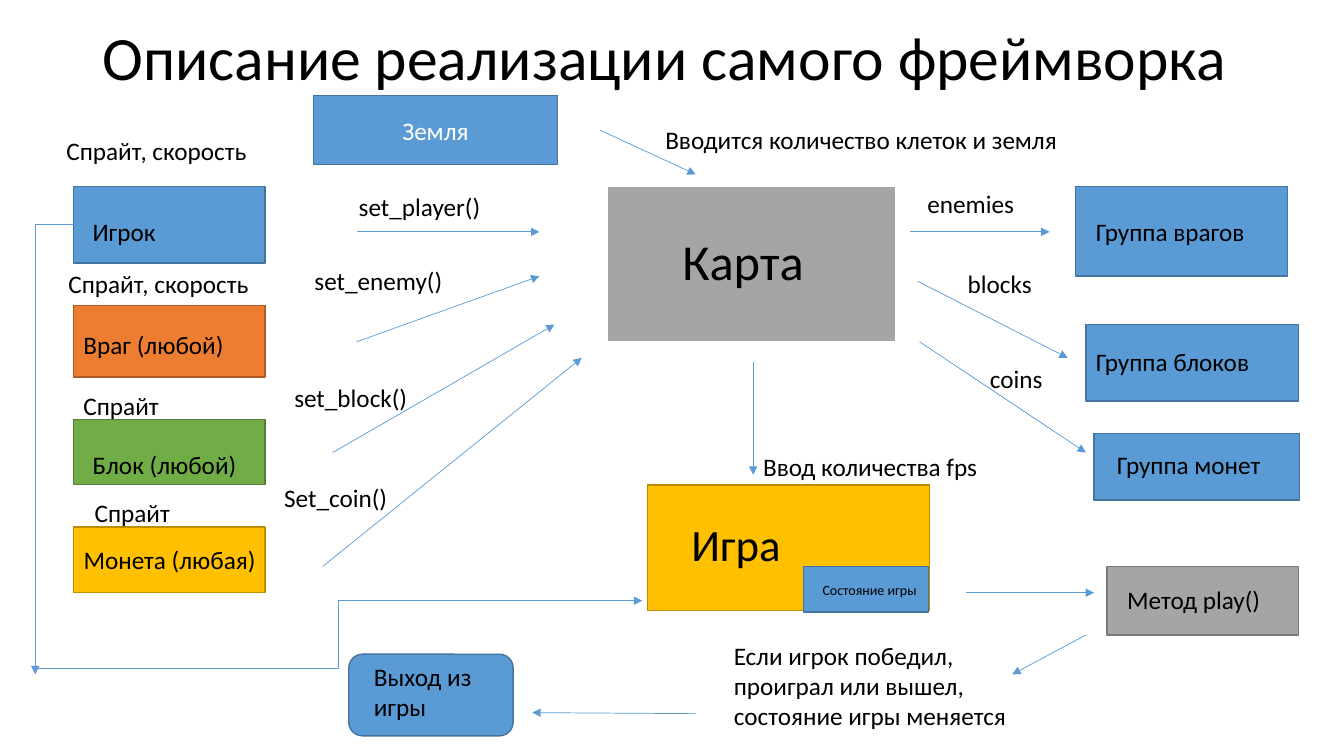
from dataclasses import dataclass

from lxml import etree
from pptx import Presentation
from pptx import util as u
from pptx.dml.color import RGBColor
from pptx.enum import shapes, text
from pptx.oxml.ns import qn

PX = 9144  # EMU per px, 100 px to the inch
SLIDE_SIZE = (1333, 750)


@dataclass(frozen=True)
class Theme:
    font: str = "Calibri"
    ink: str = "000000"
    paper: str = "FFFFFF"
    arrow: str = "5B9BD5"
    # fill, outline
    blue: tuple = ("5B9BD5", "43739E")
    orange: tuple = ("ED7D31", "AF5C24")
    green: tuple = ("70AD47", "538035")
    gold: tuple = ("FFC000", "BD8E00")
    grey: tuple = ("A5A5A5", "7A7A7A")
    map_grey: tuple = ("A5A5A5", "FFFFFF")
    title: int = 44
    map: int = 36
    game: int = 32
    body: int = 18
    small: int = 10
    outline: float = 1
    map_outline: float = 1.5
    arrow_width: float = 0.5


THEME = Theme()
RECT = shapes.MSO_SHAPE.RECTANGLE
ROUNDED = shapes.MSO_SHAPE.ROUNDED_RECTANGLE
STRAIGHT = shapes.MSO_CONNECTOR.STRAIGHT
ELBOW = shapes.MSO_CONNECTOR.ELBOW

TITLE = ("Описание реализации самого фреймворка", (92, -12, 1150, 145))
GROUND = ("Земля", (311, 95, 242, 68))

# place (left, top, width, height), colours
BOXES = [
    ((73, 185, 190, 76), THEME.blue),
    ((73, 303, 190, 71), THEME.orange),
    ((73, 416, 190, 65), THEME.green),
    ((73, 523, 190, 65), THEME.gold),
    ((1067, 185, 210, 89), THEME.blue),
    ((1077, 322, 211, 76), THEME.blue),
    ((1085, 430, 204, 66), THEME.blue),
    ((642, 481, 280, 125), THEME.gold),
    ((797, 562, 124, 45), THEME.blue),
    ((1098, 562, 190, 68), THEME.grey),
]
MAP_BOX = (602, 185, 287, 154)
EXIT_BOX = (346, 649, 163, 81)

# text, place, size
LABELS = [
    ("Игрок", (82, 210, 220, 40), THEME.body),
    ("Враг (любой)", (73, 322, 166, 40), THEME.body),
    ("Блок (любой)", (82, 441, 182, 40), THEME.body),
    ("Монета (любая)", (73, 535, 212, 40), THEME.body),
    ("Спрайт, скорость", (56, 129, 208, 40), THEME.body),
    ("Спрайт, скорость", (58, 261, 203, 40), THEME.body),
    ("Спрайт", (73, 382, 144, 40), THEME.body),
    ("Спрайт", (84, 488, 115, 40), THEME.body),
    ("set_player()", (346, 185, 144, 40), THEME.body),
    ("set_enemy()", (302, 258, 152, 40), THEME.body),
    ("set_block()", (282, 374, 139, 40), THEME.body),
    ("Set_coin()", (272, 474, 144, 40), THEME.body),
    ("Вводится количество клеток и земля", (650, 118, 435, 40), THEME.body),
    ("Карта", (667, 223, 160, 71), THEME.map),
    ("enemies", (910, 182, 123, 40), THEME.body),
    ("blocks", (950, 261, 110, 40), THEME.body),
    ("coins", (972, 356, 76, 40), THEME.body),
    ("Группа врагов", (1077, 210, 179, 40), THEME.body),
    ("Группа блоков", (1077, 339, 199, 40), THEME.body),
    ("Группа монет", (1098, 441, 171, 40), THEME.body),
    ("Ввод количества fps", (747, 443, 259, 40), THEME.body),
    ("Игра", (676, 508, 180, 64), THEME.game),
    ("Состояние игры", (806, 572, 115, 27), THEME.small),
    ("Метод play()", (1108, 575, 169, 40), THEME.body),
    ("Если игрок победил, проиграл или вышел, состояние игры меняется",
     (718, 630, 316, 101), THEME.body),
    ("Выход из игры", (361, 651, 120, 71), THEME.body),
]

# start x, start y, end x, end y
ARROWS = [
    (354, 230, 535, 230),
    (354, 339, 535, 274),
    (330, 449, 550, 322),
    (320, 562, 577, 355),
    (595, 129, 690, 173),
    (903, 230, 1041, 230),
    (910, 279, 1059, 355),
    (912, 339, 1077, 449),
    (747, 359, 747, 471),
    (958, 588, 1085, 588),
    (1077, 630, 1004, 669),
    (690, 708, 528, 707),
]
PLAYER_DOWN = (73, 223, 35, 669)
PLAYER_TO_GAME = (35, 663, 637, 596)


def emu(lengths):
    return [length * PX for length in lengths]


def write(frame, words, size=THEME.body, color=THEME.ink,
          align=text.PP_ALIGN.LEFT, anchor=text.MSO_ANCHOR.TOP, spacing=None):
    frame.word_wrap = True
    frame.vertical_anchor = anchor
    para = frame.paragraphs[0]
    para.alignment = align
    para.line_spacing = spacing
    span = para.add_run()
    span.text = words
    span.font.name = THEME.font
    span.font.size = u.Pt(size)
    span.font.color.rgb = RGBColor.from_string(color)


def add_box(page, place, colors, shape=RECT, width=THEME.outline):
    box = page.shapes.add_shape(shape, *emu(place))
    box.shadow.inherit = False
    fill, outline = colors
    box.fill.solid()
    box.fill.fore_color.rgb = RGBColor.from_string(fill)
    box.line.color.rgb = RGBColor.from_string(outline)
    box.line.width = u.Pt(width)
    return box


def add_label(page, words, place, **style):
    label = page.shapes.add_textbox(*emu(place))
    write(label.text_frame, words, **style)


def add_arrow(page, ends, kind=STRAIGHT):
    arrow = page.shapes.add_connector(kind, *emu(ends))
    arrow.line.color.rgb = RGBColor.from_string(THEME.arrow)
    arrow.line.width = u.Pt(THEME.arrow_width)
    properties = arrow.element.spPr
    etree.SubElement(properties.find(qn("a:ln")), qn("a:tailEnd"), type="triangle")
    etree.SubElement(properties, qn("a:effectLst"))
    return arrow


def main():
    deck = Presentation()
    deck.slide_width, deck.slide_height = emu(SLIDE_SIZE)
    page = deck.slides.add_slide(deck.slide_layouts[6])

    add_label(page, *TITLE, size=THEME.title, spacing=0.9,
              anchor=text.MSO_ANCHOR.MIDDLE)

    for place, colors in BOXES:
        add_box(page, place, colors)
    add_box(page, MAP_BOX, THEME.map_grey, width=THEME.map_outline)
    add_box(page, EXIT_BOX, THEME.blue, shape=ROUNDED)

    words, place = GROUND
    ground = add_box(page, place, THEME.blue)
    write(ground.text_frame, words, color=THEME.paper,
          align=text.PP_ALIGN.CENTER, anchor=text.MSO_ANCHOR.MIDDLE)

    for ends in ARROWS:
        add_arrow(page, ends)
    add_arrow(page, PLAYER_TO_GAME, kind=ELBOW)
    corner = add_arrow(page, PLAYER_DOWN, kind=ELBOW)
    corner.element.spPr.find(qn("a:prstGeom")).set("prst", "bentConnector2")

    for words, place, size in LABELS:
        add_label(page, words, place, size=size)

    deck.save("out.pptx")


if __name__ == "__main__":
    main()
